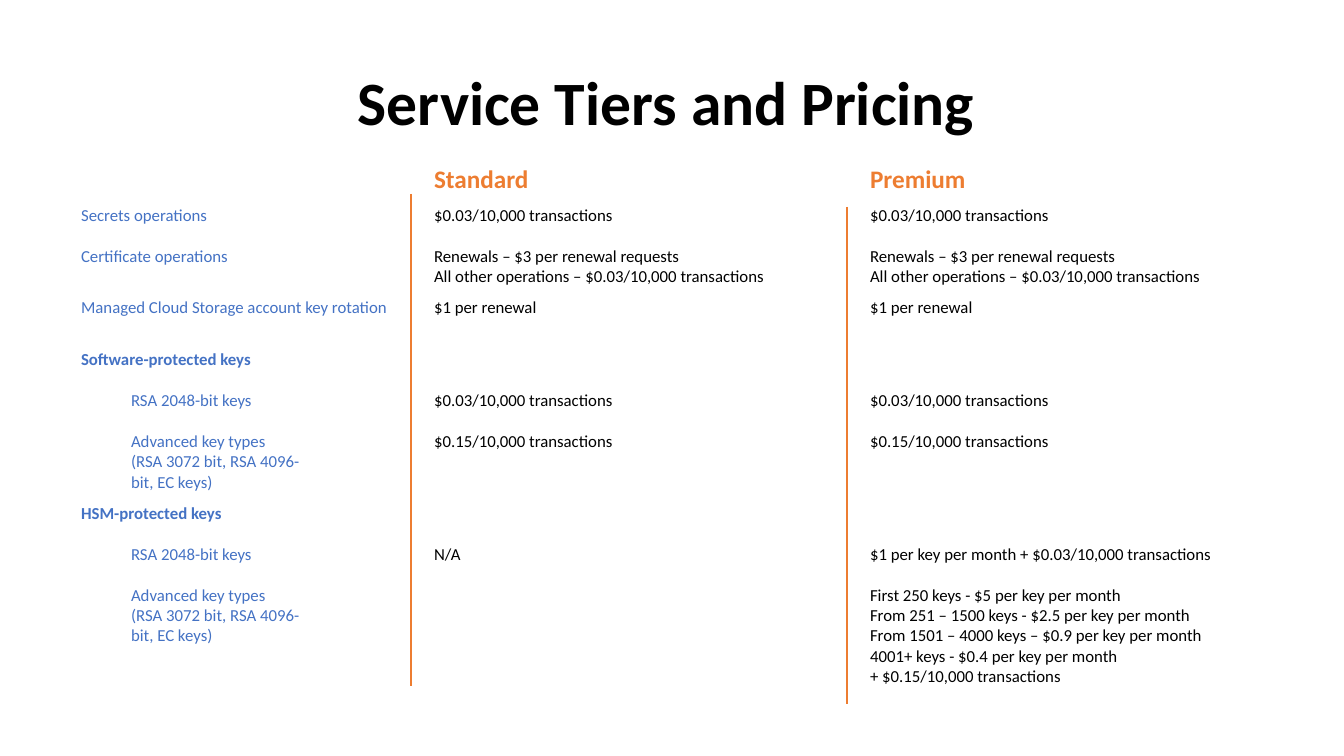
from pptx import Presentation
from pptx.dml.color import RGBColor
from pptx.enum.shapes import MSO_CONNECTOR as Connector
from pptx.enum.text import MSO_ANCHOR as Anchor, PP_ALIGN as Align
from pptx.oxml.ns import qn
from pptx.util import Pt
from lxml.etree import SubElement

BLACK = RGBColor(0x00, 0x00, 0x00)
ORANGE = RGBColor(0xED, 0x7D, 0x31)
BLUE = RGBColor(0x44, 0x72, 0xC4)
FONT = "Calibri"

# Content: (row height, label, indent, standard, premium)
TITLE = "Service Tiers and Pricing"
TIERS = ["Standard", "Premium"]
BASIC = "$0.03/10,000 transactions"
ADVANCED = "$0.15/10,000 transactions"
CERTIFICATES = ("Renewals – $3 per renewal requests\n"
                "All other operations – $0.03/10,000 transactions")
ADVANCED_KEYS = "Advanced key types\n(RSA 3072 bit, RSA 4096-\nbit, EC keys)"
HSM_PRICES = ("First 250 keys - $5 per key per month\n"
              "From 251 – 1500 keys - $2.5 per key per month\n"
              "From 1501 – 4000 keys – $0.9 per key per month\n"
              "4001+ keys - $0.4 per key per month\n"
              "+ $0.15/10,000 transactions")
PRICING = [
    (41, "Secrets operations", 0, BASIC, BASIC),
    (51, "Certificate operations", 0, CERTIFICATES, CERTIFICATES),
    (52, "Managed Cloud Storage account key rotation", 0,
     "$1 per renewal", "$1 per renewal"),
    (41, "Software-protected keys", 0, "", ""),
    (41, "RSA 2048-bit keys", 50, BASIC, BASIC),
    (72, ADVANCED_KEYS, 50, ADVANCED, ADVANCED),
    (41, "HSM-protected keys", 0, "", ""),
    (41, "RSA 2048-bit keys", 50, "N/A",
     "$1 per key per month + $0.03/10,000 transactions"),
    (106, ADVANCED_KEYS, 50, "", HSM_PRICES),
]

# Layout in px
HEADER_HEIGHT = 41
COLUMNS = [353, 436, 396]
TITLE_BOX = (87, 33, 1159, 146)
TABLE_LEFT, TABLE_TOP = 71, 159
DIVIDERS = [(847, 207, 704), (411, 194, 686)]  # x, top, bottom


def px(length):
    return round(length * 914400 / 100.8)


def write(frame, text, size=12, color=BLACK, bold=False,
          align=Align.LEFT, indent=0, spacing=None):
    frame.text = text
    for line in frame.paragraphs:
        line.alignment = align
        if spacing:
            line.line_spacing = spacing
        if indent:
            line.level = 1
            props = line._p.get_or_add_pPr()
            props.set("marL", str(px(indent)))
            props.set("indent", "0")
        line.font.size = Pt(size)
        for run in line.runs:
            run.font.name = FONT
            run.font.size = Pt(size)
            run.font.bold = bold
            run.font.color.rgb = color


deck = Presentation()
deck.slide_width, deck.slide_height = px(1344), px(756)
slide = deck.slides.add_slide(deck.slide_layouts[5])

# Title
title = slide.shapes.title
title.left, title.top, title.width, title.height = map(px, TITLE_BOX)
title.text_frame.vertical_anchor = Anchor.MIDDLE
write(title.text_frame, TITLE, size=44, bold=True, align=Align.CENTER, spacing=0.9)

# Pricing table
heights = [HEADER_HEIGHT] + [row[0] for row in PRICING]
pricing = slide.shapes.add_table(
    len(heights), len(COLUMNS), px(TABLE_LEFT), px(TABLE_TOP),
    px(sum(COLUMNS)), px(sum(heights))).table
for column, width in zip(pricing.columns, COLUMNS):
    column.width = px(width)
for row, height in zip(pricing.rows, heights):
    row.height = px(height)
for cell in pricing.iter_cells():
    cell.fill.background()

for col, tier in enumerate(TIERS, 1):
    write(pricing.cell(0, col).text_frame, tier, size=18, color=ORANGE, bold=True)
for number, (_, label, indent, *prices) in enumerate(PRICING, 1):
    write(pricing.cell(number, 0).text_frame, label, color=BLUE,
          bold=not any(prices), indent=indent)
    for col, price in enumerate(prices, 1):
        write(pricing.cell(number, col).text_frame, price)

# Column dividers
for x, top, bottom in DIVIDERS:
    divider = slide.shapes.add_connector(
        Connector.STRAIGHT, px(x), px(top), px(x), px(bottom))
    divider.line.color.rgb = ORANGE
    divider.line.width = Pt(2)
    SubElement(divider._element.spPr, qn("a:effectLst"))

deck.save("out.pptx")
